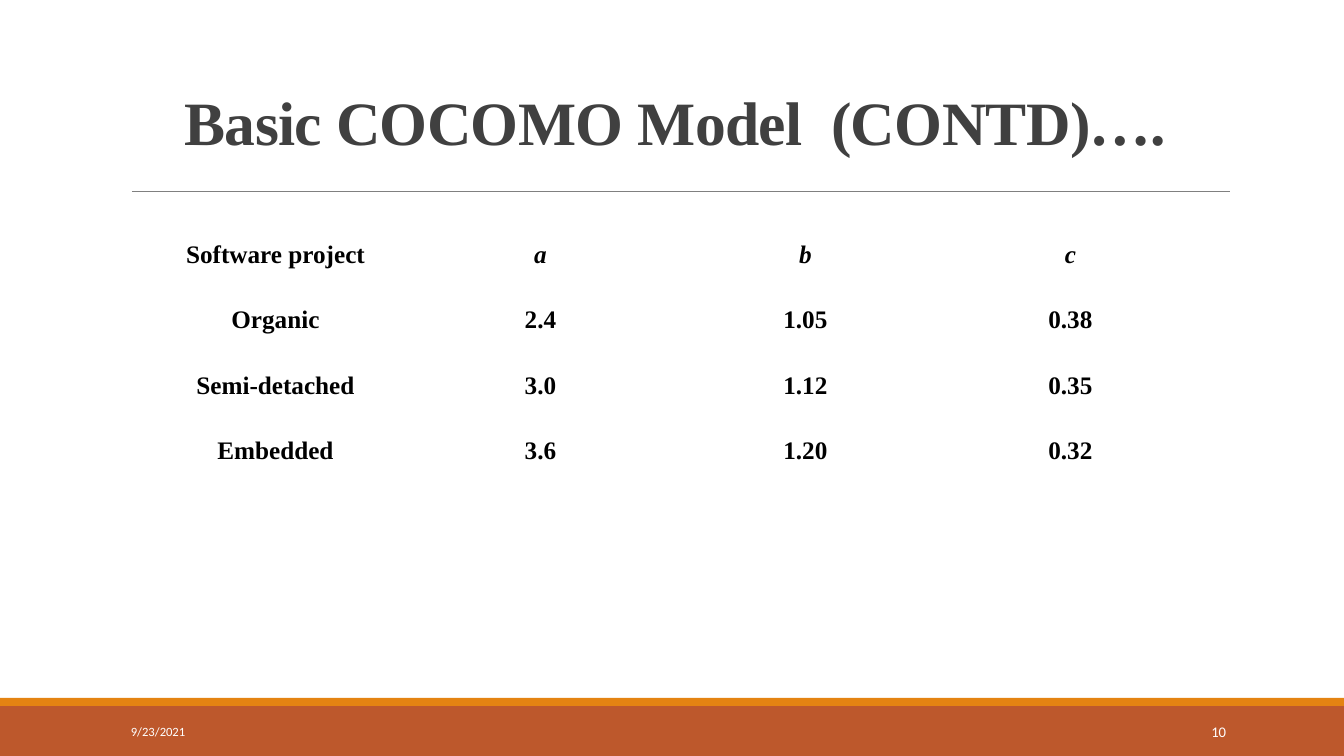
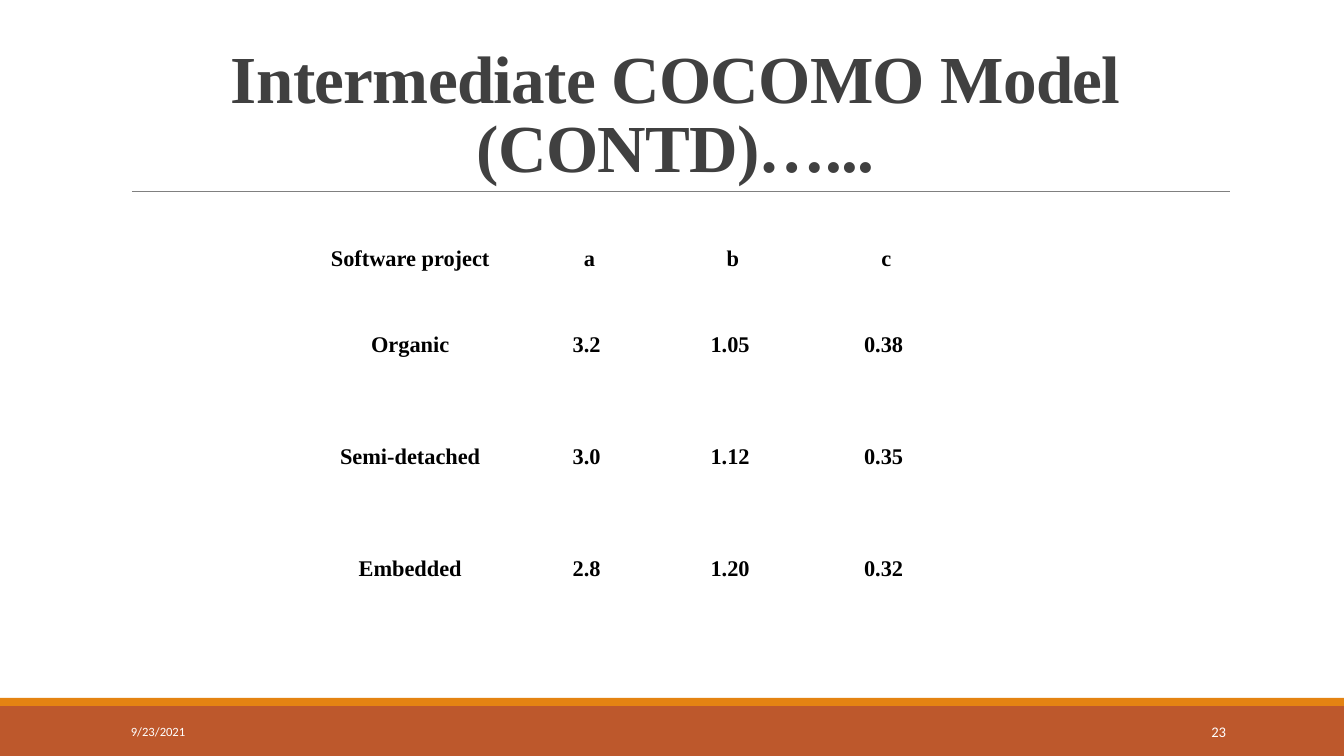
import pptx
import pptx.util
import pptx.dml.color
import pptx.enum.shapes
import pptx.enum.text
import pptx.oxml.ns
import lxml.etree

RGBColor = pptx.dml.color.RGBColor
Pt = pptx.util.Pt
ALIGN = pptx.enum.text.PP_ALIGN
ANCHOR = pptx.enum.text.MSO_ANCHOR

RUST = RGBColor(0xBD, 0x58, 0x2C)
ORANGE = RGBColor(0xE4, 0x83, 0x12)
RULE_GRAY = RGBColor(0x80, 0x80, 0x80)
TITLE_GRAY = RGBColor(0x40, 0x40, 0x40)
WHITE = RGBColor(0xFF, 0xFF, 0xFF)
BLACK = RGBColor(0, 0, 0)
SERIF, SANS = "Times New Roman", "Calibri"

SLIDE_W, SLIDE_H = 1344, 756
BANDS = [(706, 50, RUST), (698, 8, ORANGE)]
RULE_LEFT, RULE_RIGHT, RULE_Y = 132, 1230, 191
TITLE_LEFT, TITLE_TOP, TITLE_W = 121, 31, 1109
FOOTER_TOP, FOOTER_H = 712, 40
DATE = "9/23/2021"

SLIDES = [
    {
        "title": "Basic COCOMO Model  (CONTD)….",
        "title_size": 44, "title_h": 132, "number": "10",
        "left": 143, "top": 222, "cols": [265] * 4, "rows": [65.5] * 4,
        "size": 18, "italic_heads": True,
        "cells": [
            ("Software project", "a", "b", "c"),
            ("Organic", "2.4", "1.05", "0.38"),
            ("Semi-detached", "3.0", "1.12", "0.35"),
            ("Embedded", "3.6", "1.20", "0.32"),
        ],
    },
    {
        "title": "Intermediate COCOMO Model (CONTD)…...",
        "title_size": 48, "title_h": 160, "number": "23",
        "left": 308, "top": 229, "cols": [210, 143, 144, 163],
        "rows": [60, 112, 112, 112],
        "size": 16, "italic_heads": False,
        "cells": [
            ("Software project ", "a", "b", "c"),
            ("Organic ", "3.2 ", "1.05 ", "0.38 "),
            ("Semi-detached ", "3.0 ", "1.12 ", "0.35 "),
            ("Embedded ", "2.8 ", "1.20 ", "0.32 "),
        ],
    },
]


def px(n):
    return pptx.util.Emu(round(n * 914400 / 100.8))


def write(tf, text, size, font, color, align, bold=False, italic=False):
    """Put one formatted run in the first paragraph and return both."""
    p = tf.paragraphs[0]
    p.alignment = align
    r = p.add_run()
    r.text = text
    f = r.font
    f.size, f.name, f.bold, f.italic = Pt(size), font, bold, italic
    f.color.rgb = color
    return p, r


def add_bands(s):
    for top, height, color in BANDS:
        sp = s.shapes.add_shape(pptx.enum.shapes.MSO_SHAPE.RECTANGLE,
                                0, px(top), px(SLIDE_W), px(height))
        sp.shadow.inherit = False
        sp.fill.solid()
        sp.fill.fore_color.rgb = color
        sp.line.fill.background()


def add_rule(s):
    line = s.shapes.add_connector(pptx.enum.shapes.MSO_CONNECTOR.STRAIGHT,
                                  px(RULE_LEFT), px(RULE_Y), px(RULE_RIGHT), px(RULE_Y))
    line.line.color.rgb = RULE_GRAY
    line.line.width = Pt(0.5)
    lxml.etree.SubElement(line._element.spPr, pptx.oxml.ns.qn("a:effectLst"))


def set_title(s, text, size, height):
    sp = s.shapes.title
    sp.left, sp.top, sp.width, sp.height = map(px, (TITLE_LEFT, TITLE_TOP, TITLE_W, height))
    tf = sp.text_frame
    tf.word_wrap = True
    tf.auto_size = pptx.enum.text.MSO_AUTO_SIZE.NONE
    tf.vertical_anchor = ANCHOR.BOTTOM
    p, r = write(tf, text, size, SERIF, TITLE_GRAY, ALIGN.CENTER, bold=True)
    p.line_spacing = 0.85
    r._r.get_or_add_rPr().set("spc", "-50")


def add_footer(s, left, width, text, size, align):
    tf = s.shapes.add_textbox(px(left), px(FOOTER_TOP), px(width), px(FOOTER_H)).text_frame
    tf.word_wrap = True
    tf.vertical_anchor = ANCHOR.MIDDLE
    write(tf, text, size, SANS, WHITE, align)


def add_factor_table(s, d):
    cols, rows = d["cols"], d["rows"]
    table = s.shapes.add_table(len(rows), len(cols), px(d["left"]), px(d["top"]),
                               px(sum(cols)), px(sum(rows))).table
    table.first_row = table.horz_banding = False
    for col, width in zip(table.columns, cols):
        col.width = px(width)
    for row, height in zip(table.rows, rows):
        row.height = px(height)
    for i, texts in enumerate(d["cells"]):
        for j, text in enumerate(texts):
            cell = table.cell(i, j)
            cell.fill.background()
            cell.vertical_anchor = ANCHOR.MIDDLE
            write(cell.text_frame, text, d["size"], SERIF, BLACK, ALIGN.CENTER, bold=True,
                  italic=d["italic_heads"] and i == 0 and j > 0)


def main():
    prs = pptx.Presentation()
    prs.slide_width, prs.slide_height = px(SLIDE_W), px(SLIDE_H)
    for d in SLIDES:
        s = prs.slides.add_slide(prs.slide_layouts[5])
        add_bands(s)
        add_rule(s)
        set_title(s, d["title"], d["title_size"], d["title_h"])
        add_factor_table(s, d)
        add_footer(s, 121, 272, DATE, 9, ALIGN.LEFT)
        add_footer(s, 1092, 144, d["number"], 10.5, ALIGN.RIGHT)
    prs.save("out.pptx")


if __name__ == "__main__":
    main()
